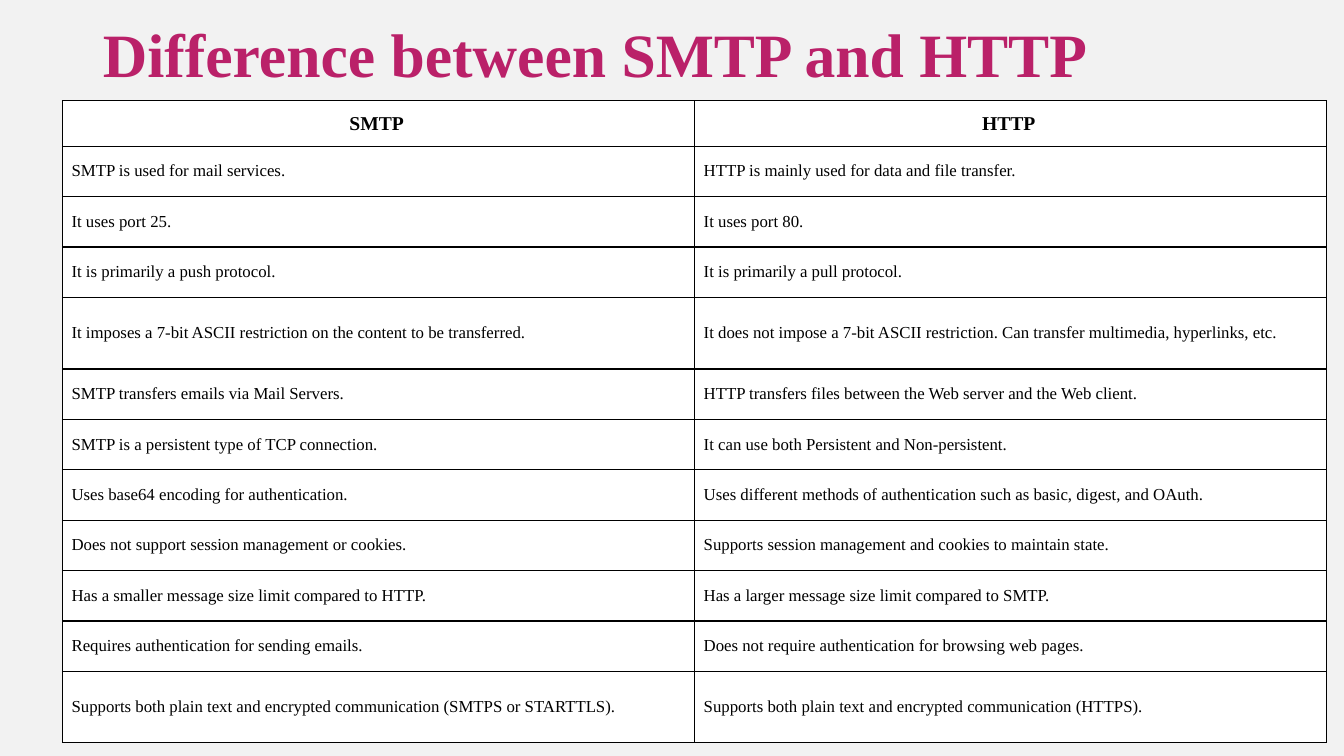
from dataclasses import dataclass

from lxml.etree import SubElement
from pptx import Presentation
from pptx.dml.color import RGBColor
from pptx.enum.text import MSO_ANCHOR, MSO_AUTO_SIZE, PP_ALIGN
from pptx.oxml.ns import qn
from pptx.util import Inches, Pt


@dataclass(frozen=True)
class Theme:
    font: str = "Times New Roman"
    back: str = "F2F2F2"
    accent: str = "BA2169"
    ink: str = "000000"
    paper: str = "FFFFFF"
    title: int = 44
    head: int = 14
    body: int = 12
    border: int = 1


HEADS = ("SMTP ", "HTTP ")
PAIRS = [
    ("SMTP is used for mail services.", "HTTP is mainly used for data and file transfer."),
    ("It uses port 25.", "It uses port 80. "),
    ("It is primarily a push protocol.", "It is primarily a pull protocol."),
    ("It imposes a 7-bit ASCII restriction on the content to be transferred.",
     "It does not impose a 7-bit ASCII restriction. Can transfer multimedia, hyperlinks, etc."),
    ("SMTP transfers emails via Mail Servers.",
     "HTTP transfers files between the Web server and the Web client. "),
    ("SMTP is a persistent type of TCP connection.",
     "It can use both Persistent and Non-persistent."),
    ("Uses base64 encoding for authentication.",
     "Uses different methods of authentication such as basic, digest, and OAuth."),
    ("Does not support session management or cookies.",
     "Supports session management and cookies to maintain state."),
    ("Has a smaller message size limit compared to HTTP.",
     "Has a larger message size limit compared to SMTP."),
    ("Requires authentication for sending emails.",
     "Does not require authentication for browsing web pages."),
    ("Supports both plain text and encrypted communication (SMTPS or STARTTLS).",
     "Supports both plain text and encrypted communication (HTTPS)."),
]
TALL = (4, 11)


class Page:
    def __init__(self, deck, theme):
        self.theme = theme
        self.slide = deck.slides.add_slide(deck.slide_layouts[5])
        fill = self.slide.background.fill
        fill.solid()
        fill.fore_color.rgb = RGBColor.from_string(theme.back)

    def style(self, par, size, color, bold, align):
        par.alignment = align
        for run in par.runs:
            font = run.font
            font.name, font.size, font.bold = self.theme.font, Pt(size), bold
            font.color.rgb = RGBColor.from_string(color)

    def title(self, text, left, top, width, height):
        shape = self.slide.shapes.title
        shape.left, shape.top = Inches(left), Inches(top)
        shape.width, shape.height = Inches(width), Inches(height)
        frame = shape.text_frame
        frame.text = text
        frame.word_wrap = True
        frame.auto_size = MSO_AUTO_SIZE.NONE
        frame.vertical_anchor = MSO_ANCHOR.MIDDLE
        par = frame.paragraphs[0]
        par.line_spacing = 0.9
        self.style(par, self.theme.title, self.theme.accent, True, PP_ALIGN.LEFT)

    def border(self, cell):
        props = cell._tc.get_or_add_tcPr()
        for spot, side in enumerate(("lnL", "lnR", "lnT", "lnB")):
            line = props.makeelement(qn(f"a:{side}"), {"w": str(Pt(self.theme.border))})
            fill = SubElement(line, qn("a:solidFill"))
            SubElement(fill, qn("a:srgbClr"), val=self.theme.ink)
            props.insert(spot, line)

    def cell(self, cell, text, head, pads):
        cell.text = text
        cell.vertical_anchor = MSO_ANCHOR.MIDDLE
        side, edge = map(Inches, pads)
        cell.margin_left = cell.margin_right = side
        cell.margin_top = cell.margin_bottom = edge
        cell.fill.solid()
        cell.fill.fore_color.rgb = RGBColor.from_string(self.theme.paper)
        size = self.theme.head if head else self.theme.body
        align = PP_ALIGN.CENTER if head else PP_ALIGN.LEFT
        self.style(cell.text_frame.paragraphs[0], size, self.theme.ink, head, align)
        self.border(cell)

    def table(self, rows, highs, left, top, width):
        count = len(rows[0])
        grid = self.slide.shapes.add_table(
            len(rows), count, Inches(left), Inches(top), Inches(width), Inches(sum(highs))).table
        grid.first_row = grid.horz_banding = False
        for col in grid.columns:
            col.width = Inches(width / count)
        for r, (row, high) in enumerate(zip(rows, highs)):
            grid.rows[r].height = Inches(high)
            for c, text in enumerate(row):
                pads = (0.09, 0.13) if r else (0.09 if c else 0.04, 0.09)
                self.cell(grid.cell(r, c), text, r == 0, pads)


def main():
    deck = Presentation()
    deck.slide_width, deck.slide_height = Inches(13.33), Inches(7.5)
    page = Page(deck, Theme())

    # Heading
    page.title("Difference between SMTP and HTTP", 0.92, 0.15, 11.5, 0.85)

    # Comparison table
    rows = [HEADS, *PAIRS]
    highs = [0.45] + [0.71 if r in TALL else 0.5 for r in range(1, len(rows))]
    page.table(rows, highs, 0.62, 1, 12.54)

    deck.save("out.pptx")


if __name__ == "__main__":
    main()
